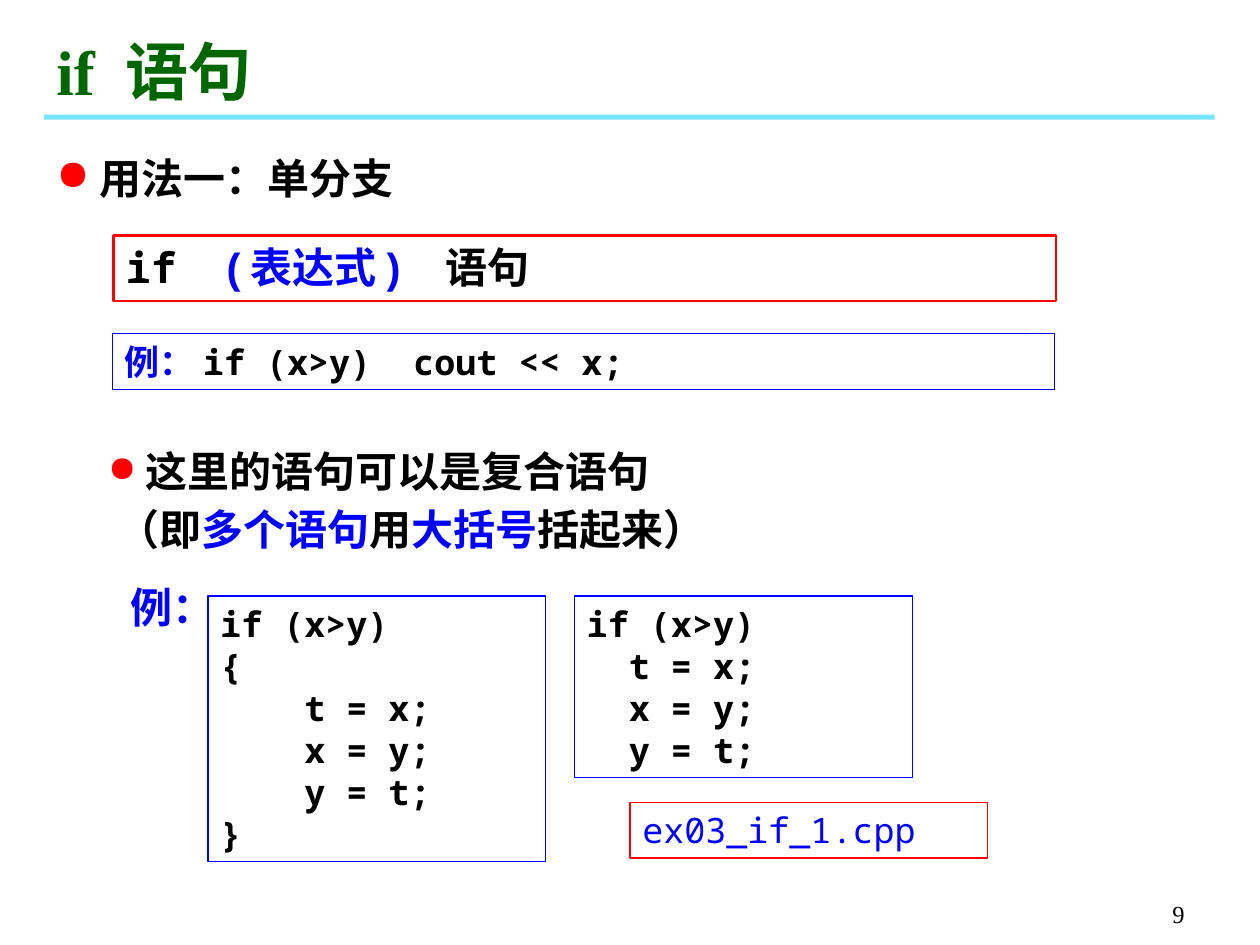
import pptx
import pptx.dml.color
import pptx.enum.shapes
import pptx.enum.text
import pptx.oxml.ns
import pptx.util
from lxml import etree
from pptx.util import Inches

MONO, SERIF, SANS = "Noto Sans Mono", "Times New Roman", "Arial"
BLACK, BLUE, RED, GREEN = "000000", "0000FF", "FF0000", "006600"
ANCHOR = pptx.enum.text.MSO_ANCHOR
ALIGN = pptx.enum.text.PP_ALIGN


def rgb(color):
    return pptx.dml.color.RGBColor.from_string(color)


def add_child(parent, tag, **attrs):
    return etree.SubElement(parent, pptx.oxml.ns.qn(tag), attrs)


def set_bullet(p, size):
    pPr = p._p.get_or_add_pPr()
    add_child(add_child(pPr, "a:buClr"), "a:srgbClr", val=RED)
    add_child(pPr, "a:buSzPct", val=str(size * 1000))
    add_child(pPr, "a:buChar", char="●")


def write(sp, lines, size, font, bold=True, anchor=ANCHOR.TOP, align=ALIGN.LEFT, wrap=True):
    tf = sp.text_frame
    tf.word_wrap = wrap
    tf.vertical_anchor = anchor
    for i, parts in enumerate(lines):
        p = tf.add_paragraph() if i else tf.paragraphs[0]
        p.alignment = align
        p.font.size = pptx.util.Pt(size)
        p.font.bold = bold
        p.font.name = font
        for text, color, *other_font in parts:
            for j, piece in enumerate(text.split("\v")):
                if j:
                    p.add_line_break()
                r = p.add_run()
                r.text = piece
                r.font.color.rgb = rgb(color)
                if other_font:
                    r.font.name = other_font[0]
    return tf.paragraphs[0]


def add_label(s, box, lines, size, font, **style):
    sp = s.shapes.add_textbox(*map(Inches, box))
    return write(sp, lines, size, font, **style)


def add_rect(s, box, fill=None, line=None, width=0.75):
    sp = s.shapes.add_shape(pptx.enum.shapes.MSO_SHAPE.RECTANGLE, *map(Inches, box))
    sp.shadow.inherit = False
    if fill:
        sp.fill.solid()
        sp.fill.fore_color.rgb = rgb(fill)
    else:
        sp.fill.background()
    if line:
        sp.line.color.rgb = rgb(line)
        sp.line.width = pptx.util.Pt(width)
    else:
        sp.line.fill.background()
    return sp


def add_title_bar(s):
    sp = add_rect(s, (0.35, 0.91, 9.29, 0.04), fill="00CCFF")
    color = sp._element.spPr.find(".//" + pptx.oxml.ns.qn("a:srgbClr"))
    add_child(color, "a:alpha", val="53000")


def add_code(s, box, code):
    sp = add_rect(s, box, line=BLUE)
    write(sp, [[(line, BLACK)] for line in code], 20, MONO)


def main():
    prs = pptx.Presentation()
    prs.slide_width, prs.slide_height = Inches(10), Inches(7.5)
    s = prs.slides.add_slide(prs.slide_layouts[6])

    add_title_bar(s)
    add_label(s, (7.42, 6.92, 2.08, 0.5), [[("9", BLACK)]], 14, SERIF,
              bold=False, anchor=ANCHOR.BOTTOM, align=ALIGN.RIGHT)
    add_label(s, (0.35, 0.21, 7.17, 0.7), [[("if 语句", GREEN)]], 36, SERIF,
              anchor=ANCHOR.BOTTOM)
    usage = add_label(s, (0.35, 1.16, 5, 0.5), [[(" 用法一：单分支", BLACK)]], 24, SERIF)
    set_bullet(usage, 100)

    syntax = add_rect(s, (0.9, 1.87, 7.48, 0.52), line=RED, width=1.5)
    write(syntax, [[("if  ", BLACK), ("(表达式)   ", BLUE, SANS), ("语句", BLACK, SANS)]],
          24, MONO)
    example = add_rect(s, (0.89, 2.65, 7.48, 0.44), line=BLUE)
    write(example, [[("例：", BLUE), ("if (x>y)  cout << x;", BLACK)]], 20, MONO)

    compound = add_label(s, (0.76, 3.43, 5.67, 1.02), [[
        (" 这里的语句可以是复合语句\v （即", BLACK), ("多个语句", BLUE), ("用", BLACK),
        ("大括号", BLUE), ("括起来）", BLACK)]], 24, SANS)
    compound.line_spacing = 1.15
    set_bullet(compound, 85)

    swap = ["t = x;", "x = y;", "y = t;"]
    add_code(s, (4.56, 4.73, 2.68, 1.44), ["if (x>y)"] + ["  " + line for line in swap])
    add_label(s, (0.94, 4.57, 0.87, 0.5), [[("例：", BLUE)]], 24, MONO, wrap=False)
    add_code(s, (1.65, 4.73, 2.68, 2.11),
             ["if (x>y)", "{"] + ["    " + line for line in swap] + ["}"])
    source_file = add_rect(s, (5, 6.37, 2.84, 0.44), fill="FFFFFF", line=RED)
    write(source_file, [[("ex03_if_1.cpp", BLUE)]], 20, MONO, bold=False)

    prs.save("out.pptx")


if __name__ == "__main__":
    main()
